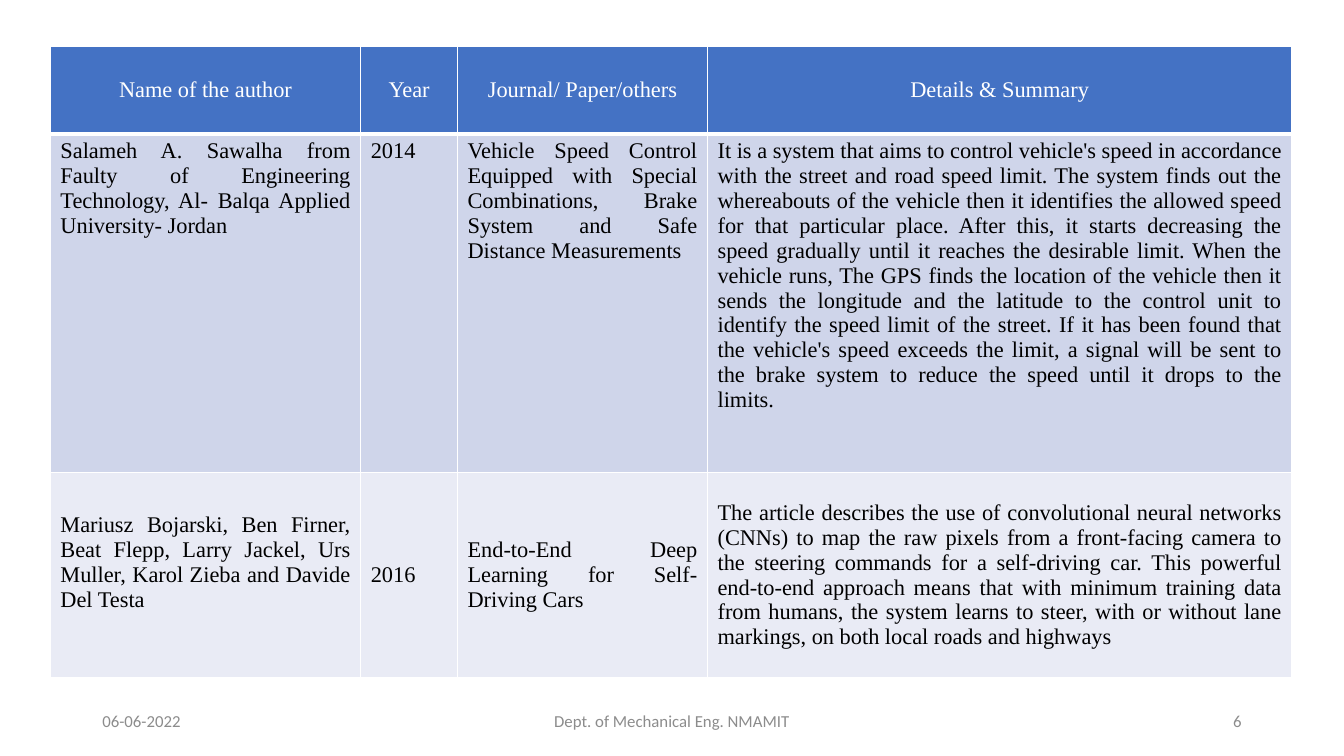
from lxml import etree
from pptx import Presentation
from pptx import util as u
from pptx.dml.color import RGBColor
from pptx.enum import text
from pptx.oxml.ns import qn

WHITE = RGBColor(0xFF, 0xFF, 0xFF)
BLACK = RGBColor(0x00, 0x00, 0x00)
GREY = RGBColor(0x8C, 0x8C, 0x8C)
BLUE = RGBColor(0x44, 0x72, 0xC4)
BAND_DARK = RGBColor(0xCF, 0xD5, 0xEA)
BAND_LIGHT = RGBColor(0xE9, 0xEB, 0xF5)

ALIGN = text.PP_ALIGN
ANCHOR = text.MSO_ANCHOR

# Table content
COLUMN_WIDTHS = [7.82, 2.44, 6.3, 14.73]
HEADINGS = ["Name of the author", "Year", "Journal/ Paper/others", "Details & Summary"]
SPEED_CONTROL = [
    "Salameh A. Sawalha from Faulty of Engineering Technology, Al- Balqa Applied University- Jordan",
    "2014",
    "Vehicle Speed Control Equipped with Special Combinations, Brake System and Safe Distance Measurements",
    "It is a system that aims to control vehicle's speed in accordance with the street and road "
    "speed limit. The system finds out the whereabouts of the vehicle then it identifies the allowed "
    "speed for that particular place. After this, it starts decreasing the speed gradually until it "
    "reaches the desirable limit. When the vehicle runs, The GPS finds the location of the vehicle "
    "then it sends the longitude and the latitude to the control unit to identify the speed limit of "
    "the street. If it has been found that the vehicle's speed exceeds the limit, a signal will be "
    "sent to the brake system to reduce the speed until it drops to the limits.",
]
SELF_DRIVING = [
    "Mariusz Bojarski, Ben Firner, Beat Flepp, Larry Jackel, Urs Muller, Karol Zieba and Davide Del Testa",
    "2016",
    "End-to-End Deep Learning for Self-Driving Cars",
    "The article describes the use of convolutional neural networks (CNNs) to map the raw pixels from "
    "a front-facing camera to the steering commands for a self-driving car. This powerful end-to-end "
    "approach means that with minimum training data from humans, the system learns to steer, with or "
    "without lane markings, on both local roads and highways",
]
# Height, texts, fill, text colour, alignment, anchor, top and bottom border
ROWS = [
    (2.2, HEADINGS, BLUE, WHITE, ALIGN.CENTER, ANCHOR.MIDDLE, 1, 3),
    (8.53, SPEED_CONTROL, BAND_DARK, BLACK, ALIGN.JUSTIFY, ANCHOR.TOP, 3, 1),
    (5.18, SELF_DRIVING, BAND_LIGHT, BLACK, ALIGN.JUSTIFY, ANCHOR.MIDDLE, 1, 1),
]
# Left, width, text, alignment
FOOTERS = [
    (2.33, 7.62, "06-06-2022", ALIGN.LEFT),
    (11.22, 11.43, "Dept. of Mechanical Eng. NMAMIT", ALIGN.CENTER),
    (23.92, 7.62, "6", ALIGN.RIGHT),
]


class SlideBuilder:
    table_font = {"name": "Times New Roman", "size": u.Pt(16), "bold": False}
    footer_font = {"name": "Calibri", "size": u.Pt(12)}

    def __init__(self, slide):
        self.slide = slide

    def set_text(self, frame, words, align, color, font_format):
        paragraph = frame.paragraphs[0]
        paragraph.alignment = align
        run = paragraph.add_run()
        run.text = words
        for key, value in font_format.items():
            setattr(run.font, key, value)
        run.font.color.rgb = color

    def borders(self, cell, top, bottom):
        properties = cell._tc.get_or_add_tcPr()
        sides = {"a:lnL": 1, "a:lnR": 1, "a:lnT": top, "a:lnB": bottom}
        for position, (side, points) in enumerate(sides.items()):
            line = etree.Element(qn(side), w=str(u.Pt(points)))
            fill = etree.SubElement(line, qn("a:solidFill"))
            etree.SubElement(fill, qn("a:srgbClr"), val=str(WHITE))
            properties.insert(position, line)

    def table(self, left, top, widths, rows):
        frame = self.slide.shapes.add_table(
            len(rows), len(widths), u.Cm(left), u.Cm(top),
            u.Cm(sum(widths)), u.Cm(sum(row[0] for row in rows)))
        table = frame.table
        table.horz_banding = False
        for column, width in zip(table.columns, widths):
            column.width = u.Cm(width)
        for table_row, row in zip(table.rows, rows):
            height, texts, fill, color, align, anchor, upper, lower = row
            table_row.height = u.Cm(height)
            for cell, words in zip(table_row.cells, texts):
                cell.fill.solid()
                cell.fill.fore_color.rgb = fill
                cell.vertical_anchor = anchor
                self.borders(cell, upper, lower)
                self.set_text(cell.text_frame, words, align, color, self.table_font)
        return table

    def footer(self, left, width, words, align):
        box = self.slide.shapes.add_textbox(u.Cm(left), u.Cm(17.65), u.Cm(width), u.Cm(1.01))
        frame = box.text_frame
        for key, value in {"word_wrap": True, "vertical_anchor": ANCHOR.MIDDLE}.items():
            setattr(frame, key, value)
        self.set_text(frame, words, align, GREY, self.footer_font)


def main():
    deck = Presentation()
    deck.slide_width, deck.slide_height = u.Cm(33.87), u.Cm(19.05)
    builder = SlideBuilder(deck.slides.add_slide(deck.slide_layouts[6]))

    # Literature review table
    review = builder.table(1.27, 1.17, COLUMN_WIDTHS, ROWS)
    # The last author list sits half a line above the middle
    review.cell(2, 0).margin_bottom = u.Cm(0.76)

    # Date, department and page number
    for footer in FOOTERS:
        builder.footer(*footer)

    deck.save("out.pptx")


if __name__ == "__main__":
    main()
